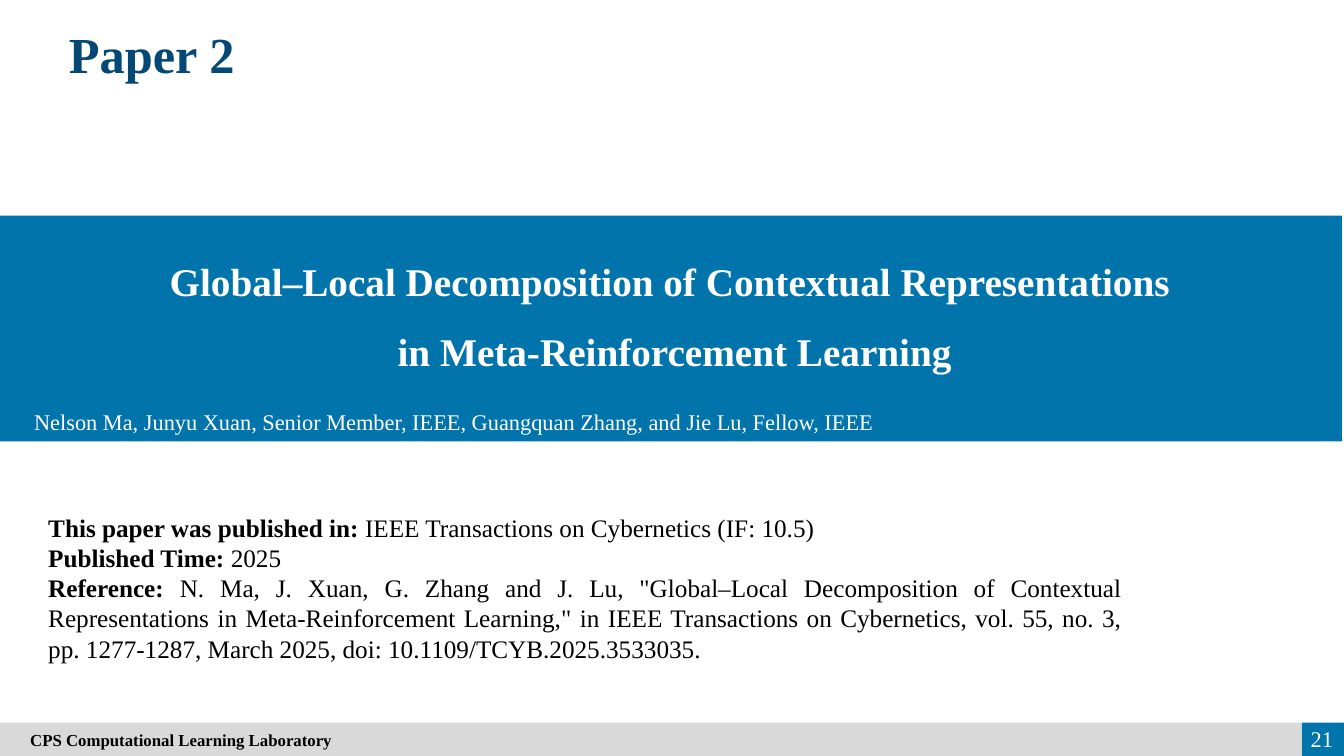
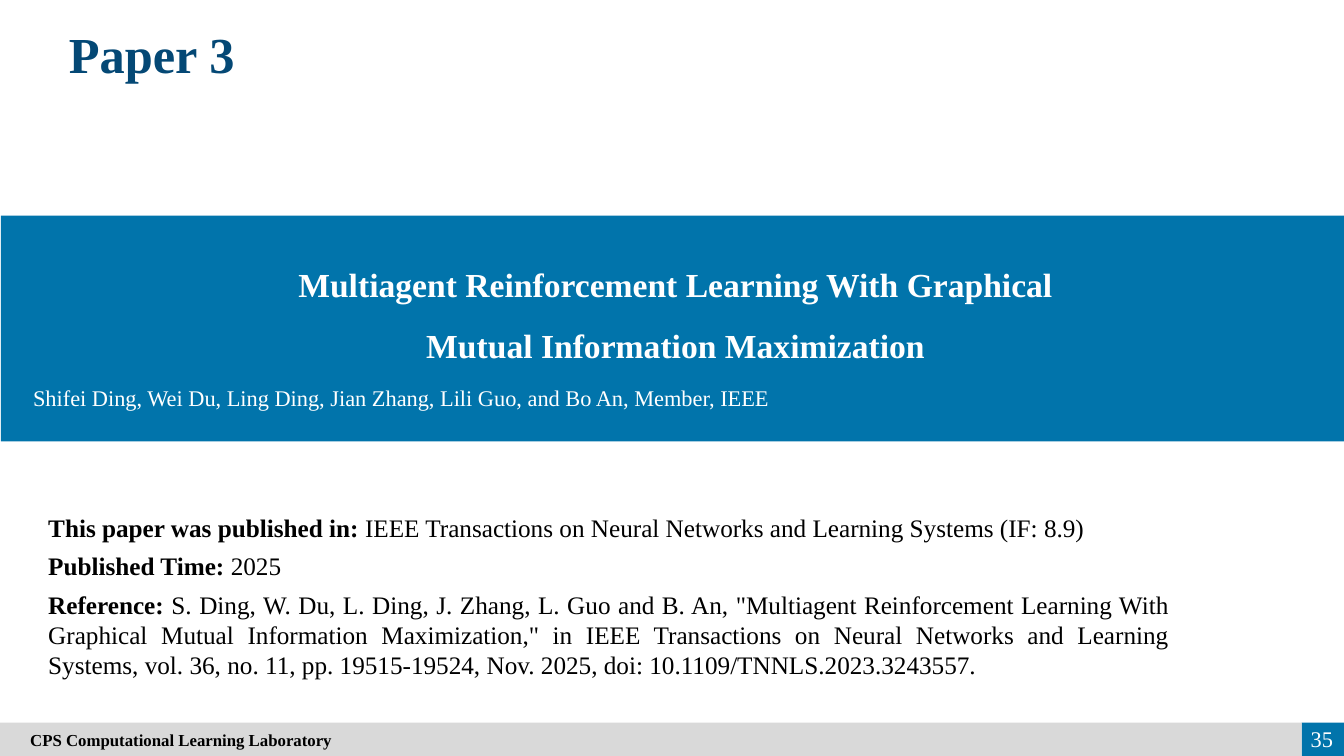
from dataclasses import dataclass

from pptx import Presentation
from pptx.dml.color import RGBColor
from pptx.enum.shapes import MSO_SHAPE
from pptx.enum.text import MSO_ANCHOR, MSO_AUTO_SIZE, PP_ALIGN
from pptx.util import Emu, Pt

RECTANGLE = MSO_SHAPE.RECTANGLE
TOP, MIDDLE = MSO_ANCHOR.TOP, MSO_ANCHOR.MIDDLE
LEFT, CENTER, RIGHT, JUSTIFY = PP_ALIGN.LEFT, PP_ALIGN.CENTER, PP_ALIGN.RIGHT, PP_ALIGN.JUSTIFY
NO_AUTOFIT = MSO_AUTO_SIZE.NONE

EMU_PER_PX = 9144  # 100 px to the inch
SLIDE_WIDTH, SLIDE_HEIGHT = 1333, 750
TITLE_ONLY_LAYOUT = 5
FONT = "Times New Roman"
BLUE, NAVY, GRAY, BLACK, WHITE = "0174AB", "044875", "D9D9D9", "000000", "FFFFFF"
FOOTER = "CPS Computational Learning Laboratory"
FOOTER_TOP, FOOTER_SPLIT = 717, 1291


@dataclass
class Paper:
    title: str
    page: str
    band: tuple
    heading_box: tuple
    heading_size: int
    heading_lines: list
    authors_box: tuple
    authors: str
    details_box: tuple
    details_gap: int
    journal: str
    year: str
    reference: str


PAPERS = [
    Paper(
        title="Paper 2",
        page="21",
        band=(0, 214, 1331, 224),
        heading_box=(7, 230, 1324, 143),
        heading_size=28,
        heading_lines=["Global–Local Decomposition of Contextual Representations ",
                       "in Meta-Reinforcement Learning"],
        authors_box=(24, 400, 1309, 37),
        authors="Nelson Ma, Junyu Xuan, Senior Member, IEEE, Guangquan Zhang, "
                "and Jie Lu, Fellow, IEEE",
        details_box=(38, 503, 1085, 162),
        details_gap=0,
        journal="IEEE Transactions on Cybernetics (IF: 10.5)",
        year="2025",
        reference='N. Ma, J. Xuan, G. Zhang and J. Lu, "Global–Local Decomposition of '
                  'Contextual Representations in Meta-Reinforcement Learning," in IEEE '
                  'Transactions on Cybernetics, vol. 55, no. 3, pp. 1277-1287, March 2025, '
                  'doi: 10.1109/TCYB.2025.3533035.',
    ),
    Paper(
        title="Paper 3",
        page="35",
        band=(1, 214, 1332, 224),
        heading_box=(27, 240, 1286, 124),
        heading_size=24,
        heading_lines=["Multiagent Reinforcement Learning With Graphical",
                       "Mutual Information Maximization"],
        authors_box=(23, 376, 1296, 37),
        authors="Shifei Ding, Wei Du, Ling Ding, Jian Zhang, Lili Guo, and Bo An, Member, IEEE",
        details_box=(38, 503, 1132, 178),
        details_gap=6,
        journal="IEEE Transactions on Neural Networks and Learning Systems (IF: 8.9)",
        year="2025",
        reference='S. Ding, W. Du, L. Ding, J. Zhang, L. Guo and B. An, "Multiagent '
                  'Reinforcement Learning With Graphical Mutual Information Maximization," '
                  'in IEEE Transactions on Neural Networks and Learning Systems, vol. 36, '
                  'no. 11, pp. 19515-19524, Nov. 2025, doi: 10.1109/TNNLS.2023.3243557.',
    ),
]


def px(length):
    return Emu(length * EMU_PER_PX)


def color(hex_string):
    return RGBColor.from_string(hex_string)


def style(paragraph, size, text_color, bold=False, align=LEFT):
    paragraph.alignment = align
    font = paragraph.font
    font.name, font.size, font.bold = FONT, Pt(size), bold
    font.color.rgb = color(text_color)


def add_band(slide, box, fill):
    band = slide.shapes.add_shape(RECTANGLE, *map(px, box))
    band.shadow.inherit = False
    band.fill.solid()
    band.fill.fore_color.rgb = color(fill)
    band.line.fill.background()
    return band


def add_text(slide, box, lines, size, text_color, bold=False, align=LEFT,
             anchor=TOP, line_spacing=1.0):
    frame = slide.shapes.add_textbox(*map(px, box)).text_frame
    frame.word_wrap = True
    frame.vertical_anchor = anchor
    frame.text = "\n".join(lines)
    for paragraph in frame.paragraphs:
        style(paragraph, size, text_color, bold, align)
        paragraph.line_spacing = line_spacing
    return frame


def set_title(slide, text):
    title = slide.shapes.title
    title.left, title.top, title.width, title.height = map(px, (38, 18, 225, 71))
    frame = title.text_frame
    frame.text = text
    frame.auto_size = NO_AUTOFIT
    frame.vertical_anchor = TOP
    style(frame.paragraphs[0], 36, NAVY, bold=True, align=CENTER)


def add_footer(slide, page):
    height = SLIDE_HEIGHT - FOOTER_TOP
    add_band(slide, (FOOTER_SPLIT, FOOTER_TOP, SLIDE_WIDTH - FOOTER_SPLIT, height), BLUE)
    footer = add_band(slide, (0, FOOTER_TOP, FOOTER_SPLIT, height), GRAY)
    frame = footer.text_frame
    frame.margin_left = px(30)
    frame.vertical_anchor = MIDDLE
    frame.text = FOOTER
    style(frame.paragraphs[0], 12, BLACK, bold=True)
    add_text(slide, (1269, 713, 63, 40), [page], 16, WHITE, align=RIGHT, anchor=MIDDLE)


def add_details(slide, paper):
    """Add the publication facts, each with a bold label."""
    facts = [("This paper was published in:", paper.journal),
             ("Published Time:", paper.year),
             ("Reference:", paper.reference)]
    lines = [f" {value}" for _, value in facts]
    frame = add_text(slide, paper.details_box, [""] * len(lines), 18, BLACK, align=JUSTIFY)
    for paragraph, (label, _), value in zip(frame.paragraphs, facts, lines):
        label_run = paragraph.add_run()
        label_run.text = label
        label_run.font.bold = True
        paragraph.add_run().text = value
        paragraph.space_after = Pt(paper.details_gap)


def add_paper_slide(presentation, paper):
    slide = presentation.slides.add_slide(presentation.slide_layouts[TITLE_ONLY_LAYOUT])
    set_title(slide, paper.title)
    add_band(slide, paper.band, BLUE)
    add_text(slide, paper.heading_box, paper.heading_lines, paper.heading_size, WHITE,
             bold=True, align=CENTER, anchor=MIDDLE, line_spacing=1.5)
    add_text(slide, paper.authors_box, [paper.authors], 16, WHITE)
    add_footer(slide, paper.page)
    add_details(slide, paper)


def main():
    presentation = Presentation()
    presentation.slide_width = px(SLIDE_WIDTH)
    presentation.slide_height = px(SLIDE_HEIGHT)
    for paper in PAPERS:
        add_paper_slide(presentation, paper)
    presentation.save("out.pptx")


if __name__ == "__main__":
    main()
